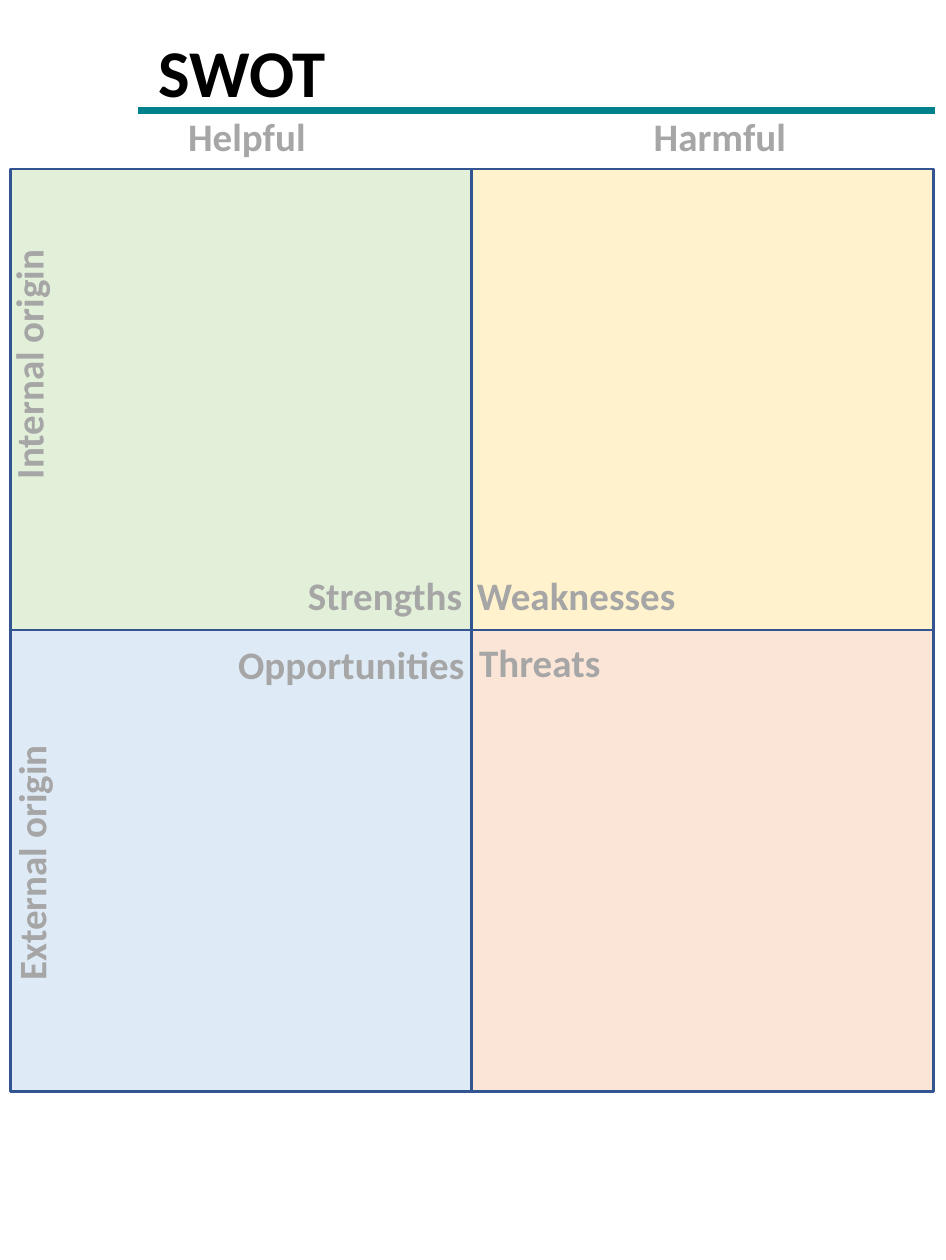
from dataclasses import dataclass

from pptx import Presentation
from pptx.dml.color import RGBColor
from pptx.enum.shapes import MSO_CONNECTOR as Connector, MSO_SHAPE as Shape
from pptx.enum.text import MSO_ANCHOR as Anchor, MSO_AUTO_SIZE as AutoSize, PP_ALIGN as Align
from pptx.oxml.ns import qn
from pptx.util import Pt
from lxml.etree import SubElement


@dataclass(frozen=True)
class Theme:
    font: str = "Calibri"
    title_size: float = 24
    label_size: float = 14
    title: str = "000000"
    label: str = "A6A6A6"
    rule: str = "00818C"
    border: str = "325491"
    strengths: str = "E2F0D9"
    weaknesses: str = "FFF2CC"
    opportunities: str = "DEEBF7"
    threats: str = "FBE5D6"


THEME = Theme()
GRID_LEFT, GRID_TOP, CELL = 3.75, 60.75, 165.75
LABEL_HEIGHT = 24.25


def color(code):
    return RGBColor.from_string(code)


def write(box, text, size, code):
    frame = box.text_frame
    frame.text = text
    frame.vertical_anchor = Anchor.TOP
    para = frame.paragraphs[0]
    para.alignment = Align.LEFT
    font = para.runs[0].font
    font.name = THEME.font
    font.size = Pt(size)
    font.bold = True
    font.color.rgb = color(code)


def set_title(page, text):
    title = page.shapes.title
    title.left, title.top, title.width, title.height = Pt(49.75), Pt(7.25), Pt(85), Pt(36)
    write(title, text, THEME.title_size, THEME.title)
    title.text_frame.auto_size = AutoSize.NONE


def add_rule(page, left, right, top):
    rule = page.shapes.add_connector(Connector.STRAIGHT, Pt(left), Pt(top), Pt(right), Pt(top))
    rule.line.color.rgb = color(THEME.rule)
    rule.line.width = Pt(2.25)
    SubElement(rule._element.spPr, qn("a:effectLst"))


def add_quadrant(page, column, row, fill):
    quadrant = page.shapes.add_shape(
        Shape.RECTANGLE, Pt(GRID_LEFT + column * CELL), Pt(GRID_TOP + row * CELL), Pt(CELL), Pt(CELL))
    quadrant.shadow.inherit = False
    quadrant.fill.solid()
    quadrant.fill.fore_color.rgb = color(fill)
    quadrant.line.color.rgb = color(THEME.border)
    quadrant.line.width = Pt(1)


def add_label(page, text, left, top, width, rotation=0):
    box = page.shapes.add_textbox(Pt(left), Pt(top), Pt(width), Pt(LABEL_HEIGHT))
    box.rotation = rotation
    write(box, text, THEME.label_size, THEME.label)
    box.text_frame.word_wrap = False
    box.text_frame.auto_size = AutoSize.SHAPE_TO_FIT_TEXT


def main():
    deck = Presentation()
    deck.slide_width, deck.slide_height = Pt(339.84), Pt(452.88)
    page = deck.slides.add_slide(deck.slide_layouts[5])

    set_title(page, "SWOT")
    add_rule(page, 49.75, 335.75, 39.75)

    quadrants = ((THEME.strengths, THEME.weaknesses), (THEME.opportunities, THEME.threats))
    for row, fills in enumerate(quadrants):
        for column, fill in enumerate(fills):
            add_quadrant(page, column, row, fill)

    for text, left, top, width in (
        ("Helpful", 60.5, 36.75, 57),
        ("Harmful", 227.75, 36.75, 62.5),
        ("Strengths", 103.5, 202, 70.5),
        ("Weaknesses", 164.25, 202, 86.5),
        ("Opportunities", 78.5, 226.75, 96.5),
        ("Threats", 165, 226, 58.25),
    ):
        add_label(page, text, left, top, width)

    for text, left, top, width in (
        ("Internal origin", -38.75, 118.25, 98),
        ("External origin", -38.75, 297.5, 100),
    ):
        add_label(page, text, left, top, width, 270)

    deck.save("out.pptx")


if __name__ == "__main__":
    main()
